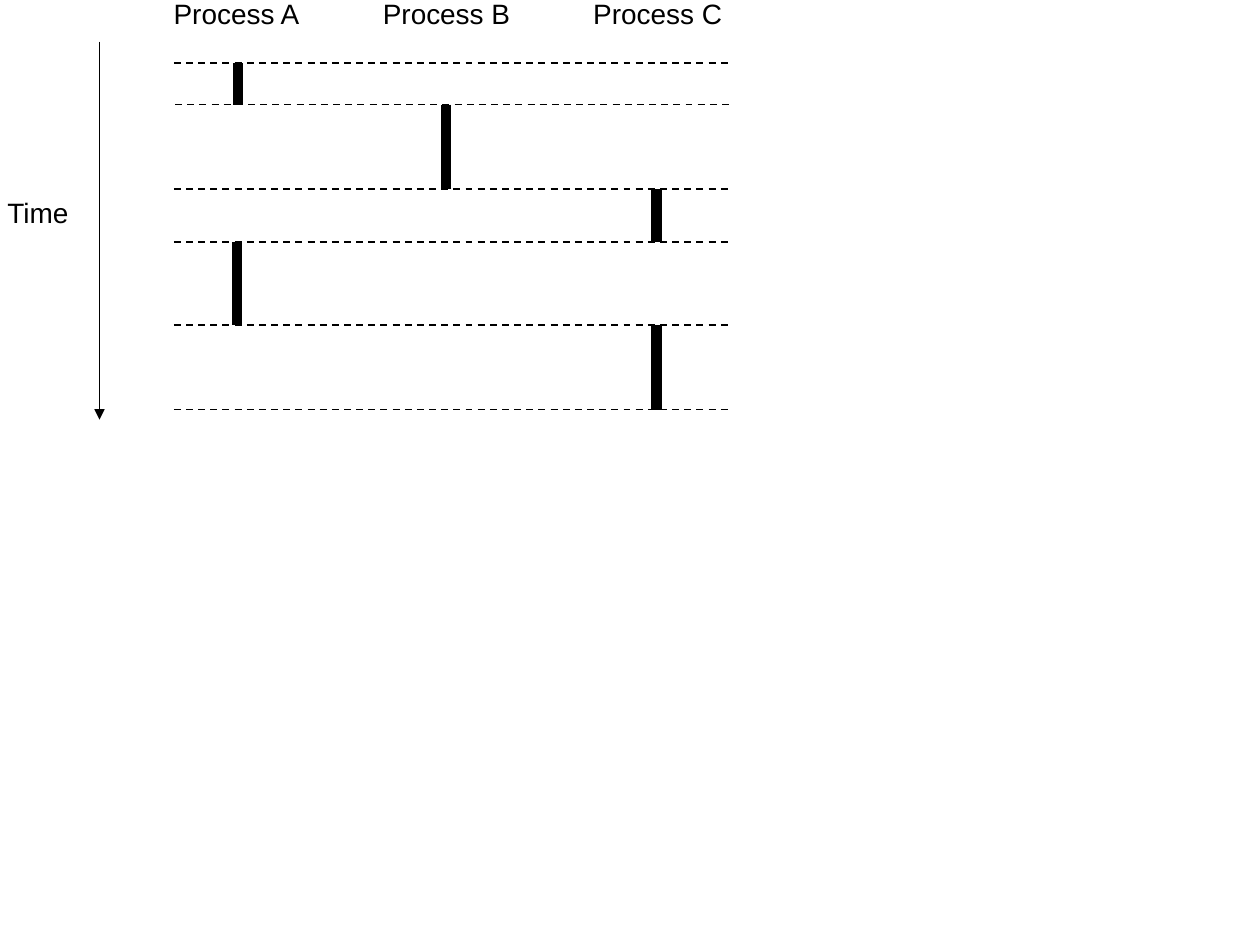
from itertools import pairwise

from lxml import etree
from pptx import Presentation
from pptx.dml.color import RGBColor
from pptx.enum import dml, shapes, text
from pptx.oxml import ns
from pptx.util import Inches, Pt

COLORS = {"ink": "000000", "paper": "FFFFFF"}


class Diagram:
    font = "Arial"
    size = 16

    def __init__(self, slide):
        self.s = slide
        fill = slide.background.fill
        fill.solid()
        fill.fore_color.rgb = RGBColor.from_string(COLORS["paper"])

    def label(self, words, left, top, width):
        box = self.s.shapes.add_textbox(
            Inches(left), Inches(top), Inches(width), Inches(0.37))
        tf = box.text_frame
        tf.text = words
        tf.word_wrap = False
        tf.auto_size = text.MSO_AUTO_SIZE.SHAPE_TO_FIT_TEXT
        font = tf.paragraphs[0].runs[0].font
        font.name = self.font
        font.size = Pt(self.size)
        font.color.rgb = RGBColor.from_string(COLORS["ink"])

    def line(self, x1, y1, x2, y2, width=1, dashed=False, arrow=False):
        sp = self.s.shapes.add_connector(
            shapes.MSO_CONNECTOR.STRAIGHT,
            Inches(x1), Inches(y1), Inches(x2), Inches(y2))
        sp.line.color.rgb = RGBColor.from_string(COLORS["ink"])
        sp.line.width = Pt(width)
        if dashed:
            sp.line.dash_style = dml.MSO_LINE.DASH
        if arrow:
            ln = sp.line._get_or_add_ln()
            etree.SubElement(ln, ns.qn("a:tailEnd"), type="triangle")
        etree.SubElement(sp._element.spPr, ns.qn("a:effectLst"))


def main():
    prs = Presentation()
    prs.slide_width, prs.slide_height = Inches(10), Inches(7.5)
    diagram = Diagram(prs.slides.add_slide(prs.slide_layouts[6]))

    diagram.line(0.79, 0.33, 0.79, 3.33, arrow=True)
    diagram.label("Time", -0.04, 1.5, 0.69)
    for name, left, width in [("A", 1.28, 1.21), ("B", 2.94, 1.21), ("C", 4.61, 1.22)]:
        diagram.label(f"Process {name}", left, -0.08, width)

    switch_times = [0.5, 0.83, 1.5, 1.92, 2.58, 3.25]
    running_lanes = [1.89, 3.54, 5.21, 1.88, 5.21]
    for x, (start, end) in zip(running_lanes, pairwise(switch_times)):
        diagram.line(x, start, x, end, width=6)
    for y in switch_times:
        left = 1.39 if y == 0.83 else 1.38
        diagram.line(left, y, left + 4.42, y, dashed=True)

    prs.save("out.pptx")


if __name__ == "__main__":
    main()
